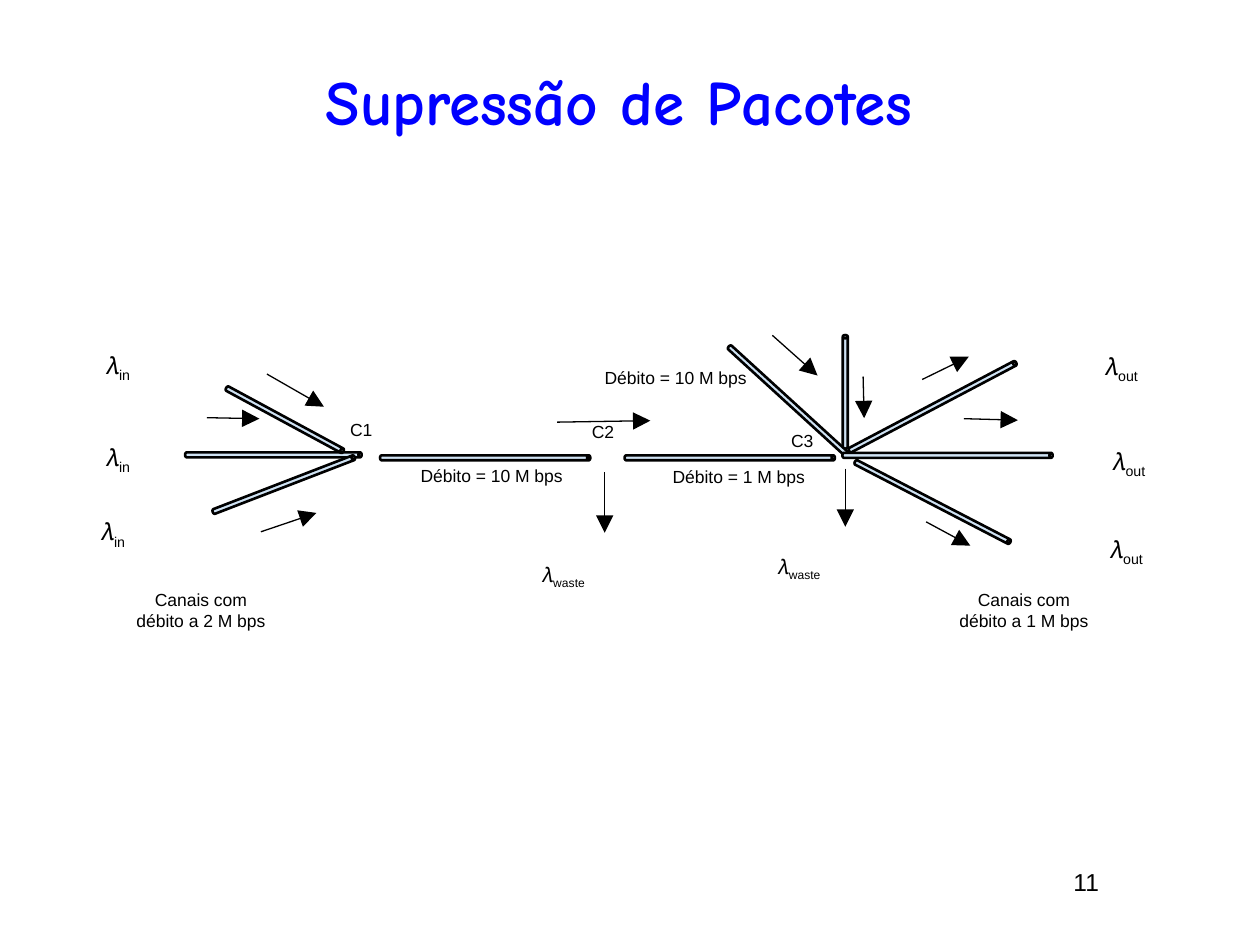
import pptx
import pptx.dml.color
import pptx.enum.shapes
import pptx.enum.text
import pptx.oxml.ns
import pptx.util
from lxml import etree

Cm, Pt = pptx.util.Cm, pptx.util.Pt
ALIGN, ANCHOR = pptx.enum.text.PP_ALIGN, pptx.enum.text.MSO_ANCHOR
BLACK, BLUE, PALE_BLUE = "000000", "0000FF", "CFE2F3"


def color(hex_text):
    return pptx.dml.color.RGBColor.from_string(hex_text)


def write(shape, text, size, subscript="", inset=0.25, align=ALIGN.LEFT,
          anchor=ANCHOR.TOP, font="Arial", ink=BLACK, bold=False):
    """Fill a shape with one formatted paragraph, with an optional subscript."""
    frame = shape.text_frame
    frame_format = {"word_wrap": True, "vertical_anchor": anchor,
                    "auto_size": pptx.enum.text.MSO_AUTO_SIZE.NONE,
                    "margin_left": Cm(0.25), "margin_right": Cm(0.25),
                    "margin_top": Cm(inset), "margin_bottom": Cm(inset)}
    for name, value in frame_format.items():
        setattr(frame, name, value)
    paragraph = frame.paragraphs[0]
    paragraph.alignment = align
    for part in filter(None, (text, subscript)):
        run = paragraph.add_run()
        run.text = part
        for name, value in {"name": font, "size": Pt(size), "bold": bold}.items():
            setattr(run.font, name, value)
        run.font.color.rgb = color(ink)
    if subscript:
        run.font._element.set("baseline", "-25000")


deck = pptx.Presentation()
deck.slide_width, deck.slide_height = Cm(25.4), Cm(19.05)
slide = deck.slides.add_slide(deck.slide_layouts[5])

title = slide.shapes.title
title_place = {"left": 0.84, "top": 1.07, "width": 23.29, "height": 1.9}
for name, value in title_place.items():
    setattr(title, name, Cm(value))
write(title, "Supressão de Pacotes", 36, align=ALIGN.CENTER, anchor=ANCHOR.MIDDLE,
      font="Comic Neue", ink=BLUE, bold=True)

page_number = slide.shapes.add_textbox(Cm(21.39), Cm(17.35), Cm(2.54), Cm(1.07))
write(page_number, "11", 14, inset=0.13)

# Channels: centre x, centre y, length, rotation
channels = [
    (17.04, 7.9, 2.29, 0),
    (15.9, 8.09, 3.28, 132.4),
    (19.1, 9.18, 4.24, 90),
    (14.71, 9.23, 4.24, 90),
    (9.78, 9.23, 4.24, 90),
    (18.8, 10.12, 3.53, 117.4),
    (5.51, 9.17, 3.56, 90),
    (5.72, 9.77, 3.07, 68.9),
    (18.8, 8.2, 3.81, 62.2),
    (5.74, 8.46, 2.69, 118.4),
]
thickness = 0.1
for x, y, length, rotation in channels:
    channel = slide.shapes.add_shape(
        pptx.enum.shapes.MSO_SHAPE.CAN, Cm(x - thickness / 2), Cm(y - length / 2),
        Cm(thickness), Cm(length))
    channel.rotation = rotation
    channel.adjustments[0] = 0.65
    channel.shadow.inherit = False
    channel.fill.solid()
    channel.fill.fore_color.rgb = color(PALE_BLUE)
    channel.line.color.rgb = color(BLACK)
    channel.line.width = Pt(1.5)

# Traffic flows: start x, start y, end x, end y
flows = [
    (12.19, 9.52, 12.19, 10.74),
    (17.04, 9.45, 17.04, 10.62),
    (11.23, 8.51, 13.11, 8.48),
    (5.38, 7.54, 6.53, 8.2),
    (19.43, 8.44, 20.52, 8.47),
    (5.26, 10.72, 6.38, 10.34),
    (18.59, 7.65, 19.53, 7.19),
    (18.67, 10.52, 19.56, 11),
    (4.17, 8.42, 5.23, 8.44),
    (15.57, 6.76, 16.48, 7.57),
    (17.4, 7.59, 17.42, 8.43),
]
for ends in flows:
    flow = slide.shapes.add_connector(
        pptx.enum.shapes.MSO_CONNECTOR.STRAIGHT, *map(Cm, ends))
    flow.line.color.rgb = color(BLACK)
    flow.line.width = Pt(0.75)
    etree.SubElement(flow.line._get_or_add_ln(), pptx.oxml.ns.qn("a:tailEnd"),
                     type="triangle", w="lg", len="lg")
    etree.SubElement(flow._element.spPr, pptx.oxml.ns.qn("a:effectLst"))

# Rates: left, top, width, text
channel_labels = [
    (13.31, 9.14, 3.23, "Débito = 1 M bps"),
    (8.23, 9.12, 3.43, "Débito = 10 M bps"),
    (11.94, 7.14, 3.43, "Débito = 10 M bps"),
    (6.81, 8.2, 1.14, "C1"),
    (11.68, 8.23, 1.14, "C2"),
    (15.7, 8.41, 1.14, "C3"),
]
for left, top, width, text in channel_labels:
    label = slide.shapes.add_textbox(Cm(left), Cm(top), Cm(width), Cm(0.81))
    write(label, text, 10)

for left, rate in ((2.46, 2), (19.05, 1)):
    caption = slide.shapes.add_textbox(Cm(left), Cm(11.63), Cm(3.18), Cm(1.32))
    write(caption, f"Canais com débito a {rate} M bps", 10,
          align=ALIGN.CENTER, anchor=ANCHOR.MIDDLE)

# Lambda symbols: subscript, size, width, height, positions
lambdas = [
    ("waste", 12, 1.63, 1.07, [(10.67, 11.07), (15.42, 10.9)]),
    ("in", 14, 1.24, 1.07, [(1.88, 6.81), (1.88, 8.66), (1.78, 10.16)]),
    ("out", 14, 1.45, 1.14, [(22.02, 6.83), (22.17, 8.74), (22.12, 10.52)]),
]
for subscript, size, width, height, positions in lambdas:
    for left, top in positions:
        symbol = slide.shapes.add_textbox(Cm(left), Cm(top), Cm(width), Cm(height))
        write(symbol, "𝜆", size, subscript)

deck.save("out.pptx")
